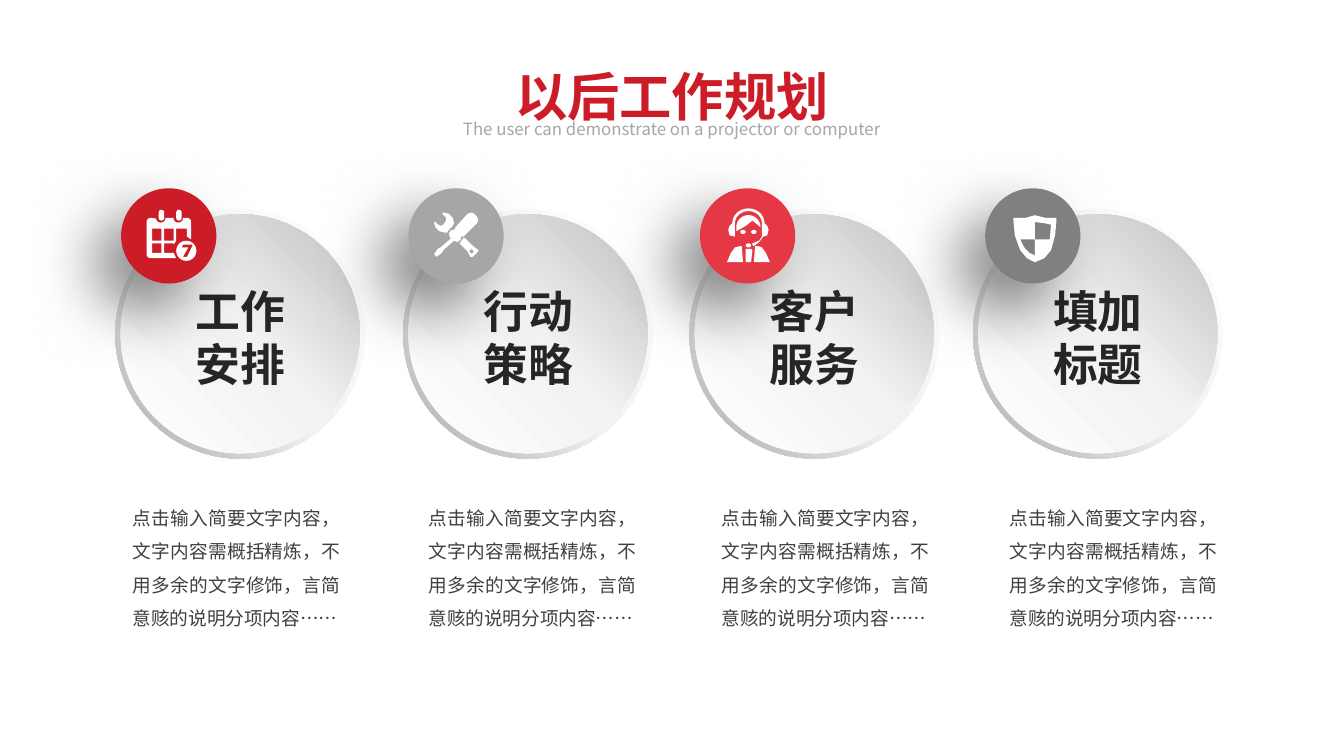
from copy import deepcopy
from dataclasses import dataclass
from math import cos, radians, sin

from lxml.etree import SubElement
from pptx import Presentation
from pptx.dml.color import RGBColor
from pptx.enum.shapes import MSO_SHAPE as Shape
from pptx.enum.text import MSO_AUTO_SIZE as AutoSize, PP_ALIGN as Align
from pptx.oxml.ns import qn
from pptx.util import Cm, Pt


@dataclass(frozen=True)
class Theme:
    face: str = "Noto Sans CJK SC"
    red: str = "CC1C27"
    coral: str = "E43844"
    silver: str = "A6A6A6"
    gray: str = "808080"
    ink: str = "262626"
    body: str = "404040"
    white: str = "FFFFFF"
    rim: tuple = ((0, "FFFFFF"), (0.55, "F2F2F2"), (1, "A6A6A6"))
    dish: tuple = ((0, "FFFFFF"), (0.51, "F2F2F2"), (1, "BFBFBF"))
    title_size: int = 28
    label_size: int = 24
    body_size: int = 10
    subtitle_size: int = 9


THEME = Theme()
ICON_GRID = 0.0254
NOTE = "点击输入简要文字内容，文字内容需概括精炼，不用多余的文字修饰，言简意赅的说明分项内容……"


def arc(x, y, rx, ry, start=0, end=360, steps=24):
    angles = [radians(start + (end - start) * i / steps) for i in range(steps + 1)]
    return [(x + rx * cos(a), y + ry * sin(a)) for a in angles]


def rect(left, top, right, bottom):
    return [(left, top), (right, top), (right, bottom), (left, bottom)]


def pin(x):
    return arc(x, 18, 2, 2, 180, 360) + arc(x, 22, 2, 2, 0, 180)


CALENDAR = [
    pin(30), pin(43),
    [(22, 22), *arc(29.5, 22.5, 3.5, 3, 180, 0), (33, 22), (39, 22),
     *arc(42.5, 22.5, 3.5, 3, 180, 0), (46, 22), *arc(49, 25, 3, 3, 270, 360),
     (52, 38), (49, 36), (49, 30), (41, 30), (41, 39), (39, 42), (39, 41),
     (32, 41), (32, 48), (39, 48), (41, 52), *arc(22, 49, 3, 3, 90, 180),
     *arc(22, 25, 3, 3, 180, 270)],
    rect(23, 30, 30, 39), rect(32, 30, 39, 39), rect(23, 41, 30, 48),
    arc(48.5, 46.5, 7.5, 7.5),
    [(46, 42), (53, 42), (53, 43), (49, 51), (46, 51), (50, 44), (45, 44)],
]
TOOLS = [
    [(31, 30), (33, 28), (34, 26), (33, 22), (30, 19), (26, 18), (25, 19),
     (28, 22), (28, 24), (26, 27), (24, 28), (22, 27), (20, 25), (19, 25),
     (20, 29), (23, 32), (27, 33), (29, 33), (30, 31)],
    [(51, 21), (49, 19), (47, 18), (44, 19), (35, 29), (34, 31), (32, 31),
     (31, 32), (30, 34), (31, 37), (32, 37), (24, 44), (22, 45), (19, 49),
     (21, 51), (25, 48), (26, 46), (34, 39), (36, 40), (38, 39), (39, 38),
     (39, 36), (41, 36), (51, 26), (52, 24)],
    [(41, 37), (38, 41), (44, 47), (46, 51), (48, 51), (52, 47), (52, 46),
     (48, 43), (42, 37)],
    arc(47, 47, 1.5, 1.5),
]
HEADSET = [
    [*arc(36, 26, 12, 11, 180, 360), (50, 28), (51, 31), (50, 35), (47, 36),
     (44, 40), (40, 43), (39, 42), (39, 41), (44, 39), (46, 36),
     *arc(36, 26, 10, 9, 360, 180), (26, 36), (22, 35), (21, 31), (22, 28)],
    [(27, 32), (34, 28), (39, 24), (45, 29), *arc(36, 29, 9, 9, 360, 180)],
    arc(32, 32.5, 2, 1.5), arc(40, 32.5, 2, 1.5), arc(36, 42.5, 2, 1.5),
    [(43, 43), (41, 43), (40, 55), (52, 55), (49, 48), (46, 44)],
    [(30, 43), (31, 43), (32, 55), (20, 55), (23, 48), (26, 44)],
    [(34, 45), (38, 45), (39, 46), (38, 55), (34, 55), (34, 46)],
]
SHIELD = [
    [(21, 22), (30, 22), (37, 20), (45, 22), (53, 22), (53, 24), (52, 35),
     (49, 46), (44, 52), (37, 55), (31, 52), (26, 46), (22, 35), (21, 24)],
    [(37, 38), (48, 38), (49, 27), (44, 26), (37, 25)],
    [(37, 50), (37, 38), (26, 38), (29, 44), (33, 48)],
]


def add_text(slide, box, lines, size, color, align, bold=False, wrap=True,
             spacing=None, inset=None):
    frame = slide.shapes.add_textbox(*map(Cm, box)).text_frame
    frame.word_wrap = wrap
    frame.auto_size = AutoSize.SHAPE_TO_FIT_TEXT
    if inset is not None:
        frame.margin_left = frame.margin_right = Cm(inset)
        frame.margin_top = frame.margin_bottom = Cm(inset)
    frame.text = "\n".join(lines)
    for line in frame.paragraphs:
        line.alignment = align
        line.line_spacing = spacing
        line.font.name = THEME.face
        line.font.size = Pt(size)
        line.font.bold = bold
        line.font.color.rgb = RGBColor.from_string(color)
        defaults = line._p.pPr.find(qn("a:defRPr"))
        SubElement(defaults, qn("a:ea"), typeface=THEME.face)


def paint(shape, color):
    shape.shadow.inherit = False
    shape.line.fill.background()
    shape.fill.solid()
    shape.fill.fore_color.rgb = RGBColor.from_string(color)


def paint_gradient(shape, stops, angle):
    shape.shadow.inherit = False
    shape.line.fill.background()
    shape.fill.gradient()
    shape.fill.gradient_angle = 360 - angle
    stop_list = shape._element.spPr.find(qn("a:gradFill")).find(qn("a:gsLst"))
    stop_list.append(deepcopy(stop_list[-1]))
    for stop, (position, color) in zip(shape.fill.gradient_stops, stops):
        stop.position = position
        stop.color.rgb = RGBColor.from_string(color)


def cast_shadow(shape):
    effects = shape._element.spPr.find(qn("a:effectLst"))
    shadow = SubElement(effects, qn("a:outerShdw"), blurRad=str(Pt(35)),
                        dist=str(Pt(20)), dir="8100000", algn="tr",
                        rotWithShape="0")
    black = SubElement(shadow, qn("a:srgbClr"), val="000000")
    SubElement(black, qn("a:alpha"), val="50000")


def add_icon(slide, left, top, contours):
    scaled = [[(Cm(x * ICON_GRID), Cm(y * ICON_GRID)) for x, y in contour]
              for contour in contours]
    builder = slide.shapes.build_freeform(*scaled[0][0])
    for contour in scaled:
        builder.move_to(*contour[0])
        builder.add_line_segments(contour[1:], close=True)
    paint(builder.convert_to_shape(Cm(left), Cm(top)), THEME.white)


def add_badge(slide, left, top, size, color, icon):
    disc = slide.shapes.add_shape(Shape.OVAL, *map(Cm, (left, top, size, size)))
    paint(disc, color)
    cast_shadow(disc)
    add_icon(slide, left, top, icon)


def add_header(slide, left, top, width):
    add_text(slide, (left + 1.09, top, width - 2.16, 1.45), ["以后工作规划"],
             THEME.title_size, THEME.red, Align.CENTER, bold=True, wrap=False)
    add_text(slide, (left, top + 1.02, width, 0.64),
             ["The user can demonstrate on a projector or computer"],
             THEME.subtitle_size, THEME.silver, Align.CENTER)


def add_card(slide, left, top, size, label, color, icon, badge_shift, note_shift):
    rim = slide.shapes.add_shape(Shape.DONUT, *map(Cm, (left, top, size, size)))
    rim.adjustments[0] = 0.049
    paint_gradient(rim, THEME.rim, 135)
    dish_size = size - 0.2
    dish = slide.shapes.add_shape(
        Shape.OVAL, *map(Cm, (left + 0.1, top + 0.1, dish_size, dish_size)))
    paint_gradient(dish, THEME.dish, 315)
    add_text(slide, (left + 1.24, top + 1.28, 2.24, 2.31), label,
             THEME.label_size, THEME.ink, Align.CENTER, bold=True, wrap=False)
    add_badge(slide, left + badge_shift, top - 0.39, 1.8, color, icon)
    add_text(slide, (left + note_shift, top + 5.41, 3.92, 2.57), [NOTE],
             THEME.body_size, THEME.body, Align.JUSTIFY, spacing=1.5, inset=0)


def main():
    deck = Presentation()
    deck.slide_width, deck.slide_height = Cm(25.4), Cm(14.29)
    slide = deck.slides.add_slide(deck.slide_layouts[6])
    cards = [
        (2.18, ("工作", "安排"), THEME.red, CALENDAR, 0.11, 0.33),
        (7.62, ("行动", "策略"), THEME.silver, TOOLS, 0.1, 0.48),
        (13.03, ("客户", "服务"), THEME.coral, HEADSET, 0.2, 0.61),
        (18.39, ("填加", "标题"), THEME.gray, SHIELD, 0.23, 0.69),
    ]
    for left, *content in cards:
        add_card(slide, left, 3.95, 4.72, *content)
    add_header(slide, 8.36, 1.09, 8.66)
    deck.save("out.pptx")


if __name__ == "__main__":
    main()
